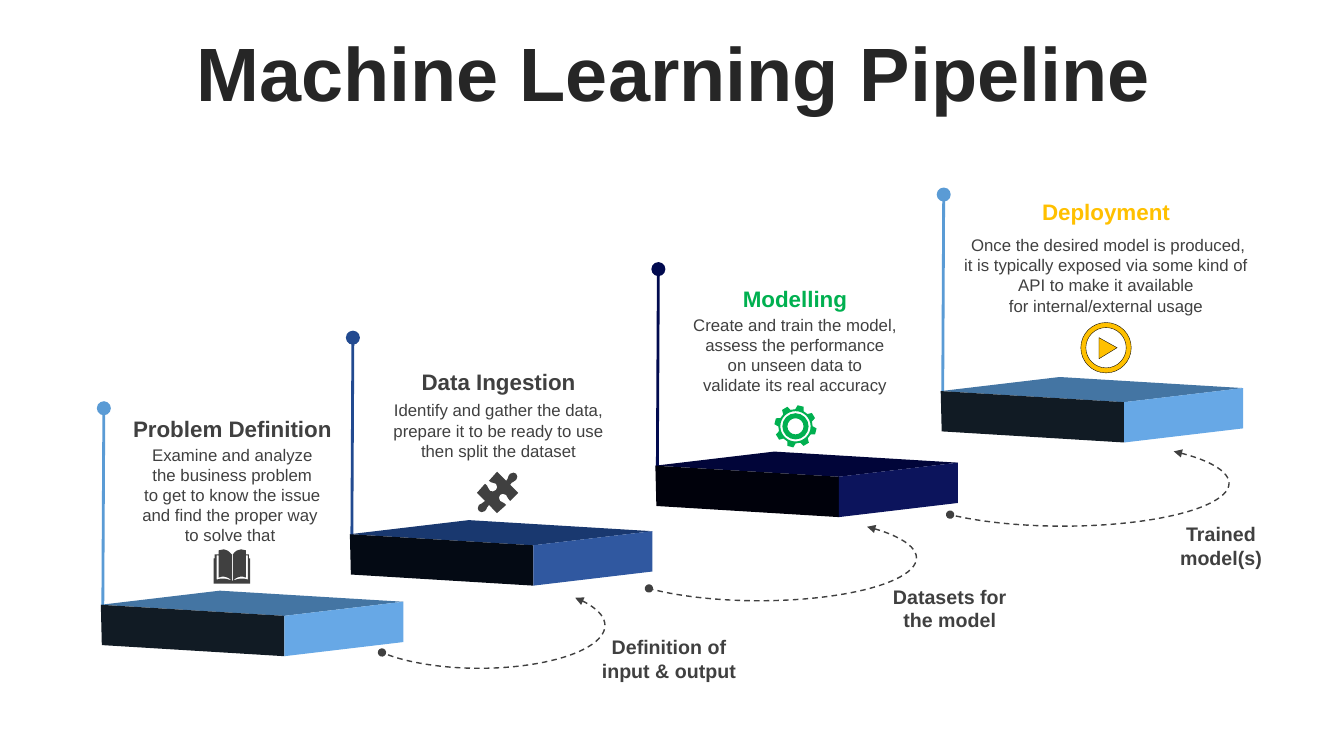
import math
from lxml import etree
from pptx import Presentation
from pptx import util as u
from pptx.dml.color import RGBColor
from pptx.enum import dml, shapes, text
from pptx.oxml.ns import qn

HUE = {"ink": "262626", "grey": "404040", "green": "00B050", "gold": "FFC000",
       "black": "000000",
       "sky": "5A9BD5", "sky top": "4475A3", "sky front": "111B24", "sky side": "67A8E6",
       "blue": "224A90", "blue top": "19386F", "blue front": "040A14", "blue side": "3058A0",
       "navy": "010A4F", "navy top": "010539", "navy front": "00010B", "navy side": "0C145C"}

TITLE = "Machine Learning Pipeline"

BOOK = [[(2.3, 5.76), (2.31, 5.76), (2.37, 5.74, 2.4, 5.73, 2.46, 5.75),
         (2.46, 5.51), (2.44, 5.51), (2.44, 5.73), (2.4, 5.71, 2.35, 5.72, 2.31, 5.76),
         (2.31, 5.5), (2.33, 5.47, 2.36, 5.45, 2.39, 5.45), (2.41, 5.45, 2.42, 5.46, 2.44, 5.46),
         (2.44, 5.5), (2.47, 5.5), (2.47, 5.54), (2.48, 5.54), (2.48, 5.79), (2.12, 5.79),
         (2.12, 5.54), (2.13, 5.54), (2.13, 5.5), (2.17, 5.5), (2.17, 5.46),
         (2.19, 5.46, 2.2, 5.45, 2.22, 5.45), (2.25, 5.45, 2.27, 5.47, 2.3, 5.5), (2.3, 5.76),
         (2.26, 5.72, 2.21, 5.71, 2.17, 5.73), (2.17, 5.51), (2.15, 5.51), (2.15, 5.75),
         (2.21, 5.73, 2.24, 5.74, 2.3, 5.76)]]
PUZZLE = [[(5.12, 4.7), (5.13, 4.72, 5.14, 4.74, 5.12, 4.76), (5.1, 4.79, 5.08, 4.77, 5.06, 4.81),
           (5.14, 4.89), (5.06, 4.97), (5.03, 4.95, 5.04, 4.93, 5.02, 4.91),
           (5, 4.89, 4.97, 4.9, 4.96, 4.91), (4.95, 4.92, 4.94, 4.95, 4.96, 4.97),
           (4.99, 4.99, 4.99, 4.98, 5.02, 5.01), (4.93, 5.09), (4.85, 5.01),
           (4.82, 5.03, 4.84, 5.04, 4.81, 5.07), (4.79, 5.09, 4.76, 5.08, 4.75, 5.07),
           (4.74, 5.06, 4.73, 5.03, 4.75, 5.01), (4.77, 4.99, 4.79, 5, 4.81, 4.97),
           (4.73, 4.89), (4.81, 4.8), (4.85, 4.82, 4.83, 4.85, 4.86, 4.87),
           (4.88, 4.88, 4.9, 4.88, 4.92, 4.86), (4.93, 4.85, 4.94, 4.82, 4.92, 4.8),
           (4.89, 4.78, 4.88, 4.8, 4.85, 4.77), (4.93, 4.68), (5.02, 4.77),
           (5.05, 4.74, 5.03, 4.73, 5.06, 4.7), (5.08, 4.68, 5.11, 4.69, 5.12, 4.7)]]


def polar(mid, r, deg):
    a = math.radians(deg)
    return mid[0] + r * math.cos(a), mid[1] + r * math.sin(a)


def ring(mid, r):
    x, y = mid
    k = 0.55 * r
    return [(x, y - r), (x + k, y - r, x + r, y - k, x + r, y),
            (x + r, y + k, x + k, y + r, x, y + r),
            (x - k, y + r, x - r, y + k, x - r, y),
            (x - r, y - k, x - k, y - r, x, y - r)]


HUB, DISC = (7.89, 4.23), (10.97, 3.45)
TEETH = [polar(HUB, r, -76 + 45 * n + d) for n in range(8)
         for r, d in ((0.17, -14.5), (0.21, -8.3), (0.21, 8.3), (0.17, 14.5))]
GEAR = [TEETH] + [ring(HUB, r) for r in (0.15, 0.13, 0.08)]
PLAY = [[(10.9, 3.35), (11.08, 3.45), (10.9, 3.56)], ring(DISC, 0.2), ring(DISC, 0.25)]

STEPS = [
    dict(hue="sky", slab=(1.0, 5.86), head="Problem Definition", tint="grey",
         top=(1.21, 4.07, 2.19, 0.37),
         body="Examine and analyze\v the business problem \vto get to know the issue "
              "and find the proper way \vto solve that ",
         box=(1.21, 4.36, 2.19, 1.11), icon=BOOK),
    dict(hue="blue", slab=(3.47, 5.16), head="Data Ingestion", tint="grey",
         top=(3.68, 3.6, 2.53, 0.37),
         body="Identify and gather the data,\vprepare it to be ready to use "
              "then split the dataset",
         box=(3.68, 3.92, 2.53, 0.71), icon=PUZZLE,
         arc=(3.51, 5.78, 2.49, 0.85), note="Definition of input & output",
         tag=(5.73, 6.25, 1.81, 0.57)),
    dict(hue="navy", slab=(6.5, 4.48), head="Modelling", tint="green",
         top=(6.71, 2.78, 2.35, 0.37),
         body="Create and train the model, assess the performance\von unseen data to\v"
              "validate its real accuracy",
         box=(6.71, 3.07, 2.35, 0.91), icon=GEAR,
         arc=(5.97, 5.11, 3.12, 0.85), note="Datasets for the model",
         tag=(8.74, 5.75, 1.36, 0.57)),
    dict(hue="sky", slab=(9.33, 3.74), head="Deployment", tint="gold",
         top=(9.55, 1.92, 2.84, 0.37),
         body=" Once the desired model is produced, it is typically exposed via some kind of "
              "API to make it available\vfor internal/external usage",
         box=(9.55, 2.28, 2.84, 0.91), inset=0, icon=PLAY, edge="black",
         arc=(8.9, 4.37, 3.29, 0.85), note="Trained model(s)",
         tag=(11.55, 5.13, 1.12, 0.57)),
]

LEFT, BACK, RIGHT, FRONT = (0, 0.14), (1.18, 0), (3, 0.11), (1.82, 0.25)
LOWL, LOWF, LOWR = (0.01, 0.54), (1.82, 0.65), (3, 0.51)
FACES = {"top": (LEFT, BACK, RIGHT, FRONT),
         "front": (LEFT, FRONT, LOWF, LOWL),
         "side": (FRONT, RIGHT, LOWR, LOWF)}


def rgb(name):
    return RGBColor.from_string(HUE[name])


def inch(vals):
    return [u.Inches(v) for v in vals]


def style(frame, size, hue, bold):
    para = frame.paragraphs[0]
    para.alignment = text.PP_ALIGN.CENTER
    for run in para.runs:
        font = run.font
        font.name, font.size, font.bold = "Arial", u.Pt(size), bold
        font.color.rgb = rgb(hue)


def label(grp, words, at, size, hue, bold=True, inset=0.1):
    frame = grp.add_textbox(*inch(at)).text_frame
    frame.word_wrap = True
    frame.margin_left = frame.margin_right = u.Inches(inset)
    frame.paragraphs[0].text = words
    style(frame, size, hue, bold)


def bend(form, paths):
    steps = form._element.iter(qn("a:lnTo"))
    steps = iter(list(steps))
    for seg in (s for path in paths for s in path[1:]):
        first = next(steps)
        if len(seg) == 6:
            first.tag = qn("a:cubicBezTo")
            for _ in range(2):
                step = next(steps)
                first.append(step[0])
                step.getparent().remove(step)


def draw(grp, paths, hue, edge=None):
    pen = grp.build_freeform(*inch(paths[0][0]))
    for n, path in enumerate(paths):
        if n:
            pen.move_to(*inch(path[0]))
        pen.add_line_segments([inch(seg[i:i + 2]) for seg in path[1:]
                               for i in range(0, len(seg), 2)], close=True)
    form = pen.convert_to_shape()
    bend(form, paths)
    form.shadow.inherit = False
    form.fill.solid()
    form.fill.fore_color.rgb = rgb(hue)
    if edge:
        form.line.color.rgb = rgb(edge)
        form.line.width = u.Pt(0.25)
    else:
        form.line.fill.background()


def ends(line, **kinds):
    for part, (kind, size) in kinds.items():
        etree.SubElement(line._get_or_add_ln(), qn("a:" + part),
                         type=kind, w=size, len=size)


def pole(grp, x, y, hue):
    bar = grp.add_connector(shapes.MSO_CONNECTOR.STRAIGHT,
                            *inch((x + 0.02, y + 0.16, x + 0.03, y - 1.81)))
    bar.line.color.rgb = rgb(hue)
    bar.line.width = u.Pt(2)
    ends(bar.line, tailEnd=("oval", "lg"))
    etree.SubElement(bar._element.spPr, qn("a:effectLst"))


def sweep(grp, at):
    arc = grp.add_shape(shapes.MSO_SHAPE.ARC, *inch(at))
    arc.adjustments[0], arc.adjustments[1] = 206.33, 98.7
    arc.shadow.inherit = False
    arc.fill.background()
    arc.line.color.rgb = rgb("grey")
    arc.line.width = u.Pt(1)
    arc.line.dash_style = dml.MSO_LINE.DASH
    ends(arc.line, headEnd=("triangle", "med"), tailEnd=("oval", "med"))


def main():
    deck = Presentation()
    deck.slide_width, deck.slide_height = inch((13.33, 7.5))
    slide = deck.slides.add_slide(deck.slide_layouts[5])
    title = slide.shapes.title
    title.left, title.top, title.width, title.height = inch((0.35, 0.37, 12.66, 0.79))
    title.text_frame.text = TITLE
    title.text_frame.vertical_anchor = text.MSO_ANCHOR.MIDDLE
    title.text_frame.paragraphs[0].line_spacing = 0.9
    style(title.text_frame, 54, "ink", True)

    for step in STEPS:
        grp = slide.shapes.add_group_shape().shapes
        x, y = step["slab"]
        pole(grp, x, y, step["hue"])
        for face, pts in FACES.items():
            draw(grp, [[(x + a, y + b) for a, b in pts]], f"{step['hue']} {face}")
        label(grp, step["body"], step["box"], 12, "grey", False, step.get("inset", 0.1))
        label(grp, step["head"], step["top"], 16, step["tint"])
        draw(grp, step["icon"], step["tint"], step.get("edge"))
        if "arc" in step:
            sweep(grp, step["arc"])
            label(grp, step["note"], step["tag"], 14, "grey")
    deck.save("out.pptx")


if __name__ == "__main__":
    main()
